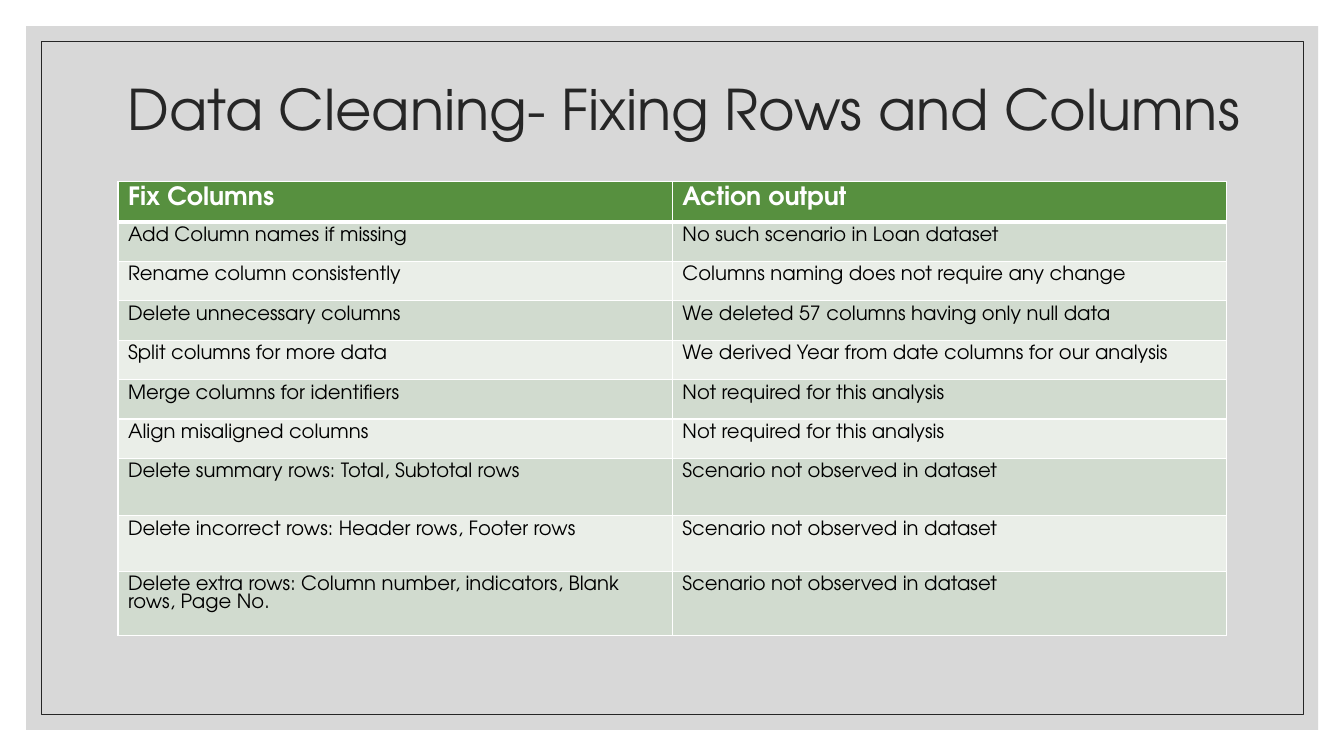
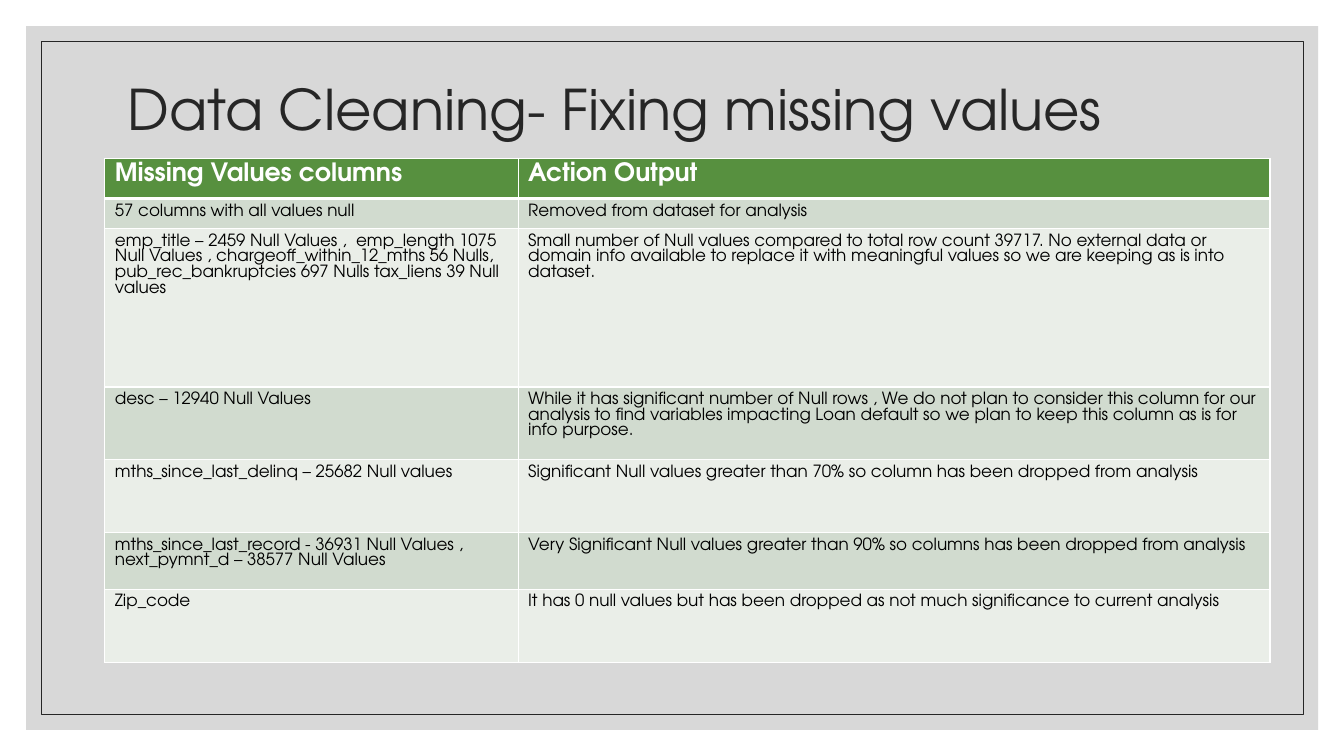
import pptx
import pptx.dml.color
import pptx.enum.shapes
import pptx.enum.text
import pptx.oxml.ns
import pptx.util
import lxml.etree

Pt = pptx.util.Pt
FONT = "TeX Gyre Adventor"
WHITE, BLACK, DARK = "FFFFFF", "000000", "262626"
PANEL, HEADER = "BFBFBF", "57903F"
BANDS = ["EAEEE8", "D1DBCF"]


def color(hex_string):
    return pptx.dml.color.RGBColor.from_string(hex_string)


def add_run(paragraph, text, size, hex_string, bold=False):
    run = paragraph.add_run()
    run.text = text
    run.font.name = FONT
    run.font.size = Pt(size)
    run.font.bold = bold
    run.font.color.rgb = color(hex_string)


# Content: table position, column widths, row heights and rows of each slide
slides = [
    {
        "title": "Data Cleaning- Fixing Rows and Columns",
        "position": (84.24, 129.6),
        "columns": [396, 396],
        "heights": [28.8] + [28.2] * 6 + [41, 39.6, 45.8],
        "size": 14,
        "rows": [
            ("Fix Columns", "Action output"),
            ("Add Column names if missing", "No such scenario in Loan dataset"),
            ("Rename column consistently", "Columns naming does not require any change"),
            ("Delete unnecessary columns", "We deleted 57 columns having only null data"),
            ("Split columns for more data", "We derived Year from date columns for our analysis"),
            ("Merge columns for identifiers", "Not required for this analysis"),
            ("Align misaligned columns", "Not required for this analysis"),
            ("Delete summary rows: Total, Subtotal rows", "Scenario not observed in dataset"),
            ("Delete incorrect rows: Header rows, Footer rows", "Scenario not observed in dataset"),
            ("Delete extra rows: Column number, indicators, Blank rows, Page No.",
             "Scenario not observed in dataset"),
        ],
    },
    {
        "title": "Data Cleaning- Fixing missing values",
        "position": (74.88, 113),
        "columns": [295.2, 537.1],
        "heights": [25.9, 21.6, 113, 52, 52, 40.7, 52],
        "size": 12,
        "rows": [
            ("Missing Values columns", "Action Output"),
            ("57 columns with all values null", "Removed from dataset for analysis"),
            ("emp_title – 2459 Null Values ,  emp_length 1075 Null Values , "
             "chargeoff_within_12_mths 56 Nulls, pub_rec_bankruptcies 697 Nulls "
             "tax_liens 39 Null values",
             "Small number of Null values compared to total row count 39717. "
             "No external data or domain info available to replace it with "
             "meaningful values so we are keeping as is into dataset."),
            ("desc – 12940 Null Values",
             "While it has significant number of Null rows , We do not plan to "
             "consider this column for our analysis to find variables impacting "
             "Loan default so we plan to keep this column as is for info purpose."),
            ("mths_since_last_delinq – 25682 Null values",
             "Significant Null values greater than 70% so column has been dropped from analysis"),
            ("mths_since_last_record - 36931 Null Values , next_pymnt_d – 38577 Null Values",
             "Very Significant Null values greater than 90% so columns has been dropped from analysis"),
            ("Zip_code",
             "It has 0 null values but has been dropped as not much significance to current analysis"),
        ],
    },
]

presentation = pptx.Presentation()
presentation.slide_width = Pt(960)
presentation.slide_height = Pt(540)
qn = pptx.oxml.ns.qn
rectangle = pptx.enum.shapes.MSO_SHAPE.RECTANGLE

for content in slides:
    slide = presentation.slides.add_slide(presentation.slide_layouts[6])

    # Translucent grey panel
    panel = slide.shapes.add_shape(rectangle, Pt(18.7), Pt(18.7), Pt(922.8), Pt(502.6))
    panel.shadow.inherit = False
    panel.fill.solid()
    panel.fill.fore_color.rgb = color(PANEL)
    panel.line.fill.background()
    panel_color = panel.fill._xPr.find(qn("a:solidFill"))[0]
    lxml.etree.SubElement(panel_color, qn("a:alpha"), val="60000")

    # Thin frame
    frame = slide.shapes.add_shape(rectangle, Pt(29.5), Pt(29.5), Pt(901.4), Pt(481))
    frame.shadow.inherit = False
    frame.fill.background()
    frame.line.color.rgb = color(DARK)
    frame.line.width = Pt(0.5)

    # Title
    title = slide.shapes.add_textbox(Pt(84.24), Pt(50.4), Pt(827.3), Pt(59))
    title.text_frame.word_wrap = True
    title.text_frame.vertical_anchor = pptx.enum.text.MSO_ANCHOR.MIDDLE
    paragraph = title.text_frame.paragraphs[0]
    paragraph.line_spacing = 0.9
    add_run(paragraph, content["title"], 40, DARK)

    # Table
    rows, widths, heights = content["rows"], content["columns"], content["heights"]
    left, top = content["position"]
    table = slide.shapes.add_table(len(rows), len(widths), Pt(left), Pt(top),
                                   Pt(sum(widths)), Pt(sum(heights))).table
    for column, width in zip(table.columns, widths):
        column.width = Pt(width)
    for row, height in zip(table.rows, heights):
        row.height = Pt(height)

    for row_index, row in enumerate(rows):
        is_header = row_index == 0
        for column_index, text in enumerate(row):
            cell = table.cell(row_index, column_index)

            # White borders, thicker between header and body
            properties = cell._tc.get_or_add_tcPr()
            for side in ("L", "R", "T", "B"):
                thick = (is_header and side == "B") or (row_index == 1 and side == "T")
                border = lxml.etree.SubElement(properties, qn("a:ln" + side),
                                               w=str(Pt(3 if thick else 1)))
                border_fill = lxml.etree.SubElement(border, qn("a:solidFill"))
                lxml.etree.SubElement(border_fill, qn("a:srgbClr"), val=WHITE)

            cell.fill.solid()
            cell.fill.fore_color.rgb = color(HEADER if is_header else BANDS[row_index % 2])
            add_run(cell.text_frame.paragraphs[0], text,
                    18 if is_header else content["size"],
                    WHITE if is_header else BLACK, is_header)

presentation.save("out.pptx")
